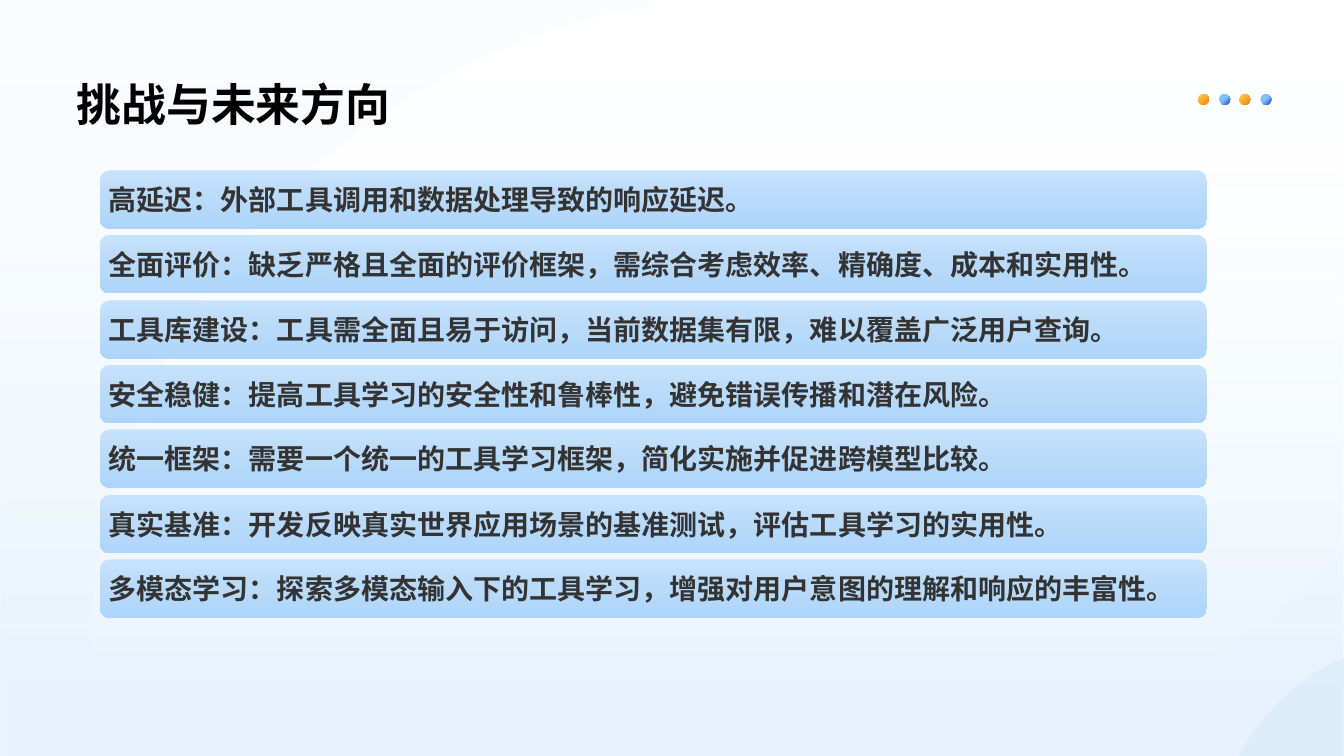
from lxml import etree
from pptx import Presentation
from pptx.dml.color import RGBColor
from pptx.enum.lang import MSO_LANGUAGE_ID
from pptx.enum.shapes import MSO_SHAPE
from pptx.enum.text import MSO_ANCHOR, PP_ALIGN
from pptx.oxml.ns import qn
from pptx.util import Pt

PX = 9144
W, H = 1333, 750
FONT = "Arial"
RECT, OVAL, ROUND = MSO_SHAPE.RECTANGLE, MSO_SHAPE.OVAL, MSO_SHAPE.ROUNDED_RECTANGLE
MIDDLE, BOTTOM = MSO_ANCHOR.MIDDLE, MSO_ANCHOR.BOTTOM
LEFT = PP_ALIGN.LEFT
CHINESE = MSO_LANGUAGE_ID.SIMPLIFIED_CHINESE

BACKDROP = [(0, "FFFFFF", 0), (91, "84C1F4", 18)]
ORANGE = [(23, "FAC348", 100), (88, "F88A20", 100)]
BLUE = [(52, "84C1F4", 100), (100, "1A48D8", 100)]
BAR = [(0, "C8E2FB", 100), (50, "B9DAF9", 100), (100, "ADD5FB", 100)]

CORNER = [(W, 652), (W, H), (1228, H), (1235, 738), (1257, 703, 1288, 674, 1325, 656)]
LEFT_SWOOSH = [(0, 0), (644, 0), (644, 6), (628, 9), (321, 69, 88, 341, 88, 666),
               (88, 686, 89, 706, 91, 726), (94, H), (0, H)]
RIGHT_SWOOSH = [(W, 544), (W, H), (918, H), (947, 746), (1088, 725, 1215, 660, 1313, 565)]

TITLE = "挑战与未来方向"
CHALLENGES = [
    "高延迟：外部工具调用和数据处理导致的响应延迟。",
    "全面评价：缺乏严格且全面的评价框架，需综合考虑效率、精确度、成本和实用性。",
    "工具库建设：工具需全面且易于访问，当前数据集有限，难以覆盖广泛用户查询。",
    "安全稳健：提高工具学习的安全性和鲁棒性，避免错误传播和潜在风险。",
    "统一框架：需要一个统一的工具学习框架，简化实施并促进跨模型比较。",
    "真实基准：开发反映真实世界应用场景的基准测试，评估工具学习的实用性。",
    "多模态学习：探索多模态输入下的工具学习，增强对用户意图的理解和响应的丰富性。",
]


def px(*values):
    """Turn pixel lengths into EMU."""
    return [v * PX for v in values]


def rgb(color):
    """Turn a hex string into a colour."""
    return RGBColor.from_string(color)


def set_gradient(sp, stops, angle):
    """Fill a shape with a linear gradient of (position, colour, opacity) stops."""
    sp.fill.gradient()
    grad = sp._element.spPr.find(qn("a:gradFill"))
    for child in list(grad):
        grad.remove(child)
    stop_list = etree.SubElement(grad, qn("a:gsLst"))
    for pos, color, opacity in stops:
        gs = etree.SubElement(stop_list, qn("a:gs"), pos=str(pos * 1000))
        clr = etree.SubElement(gs, qn("a:srgbClr"), val=color)
        etree.SubElement(clr, qn("a:alpha"), val=str(opacity * 1000))
    etree.SubElement(grad, qn("a:lin"), ang=str(angle * 60000), scaled="0")


def add_gradient_shape(s, kind, box, stops, angle):
    """Add a borderless preset shape with a gradient fill."""
    sp = s.shapes.add_shape(kind, *px(*box))
    sp.shadow.inherit = False
    sp.line.fill.background()
    set_gradient(sp, stops, angle)
    return sp


def bend_segments(sp, outline):
    """Turn the straight segments that have control points into cubic curves."""
    left = min(step[-2] for step in outline)
    top = min(step[-1] for step in outline)
    lines = list(sp._element.iter(qn("a:lnTo")))
    for line, step in zip(lines, outline[1:]):
        if len(step) == 6:
            bend = etree.Element(qn("a:cubicBezTo"))
            for x, y in zip(step[::2], step[1::2]):
                etree.SubElement(bend, qn("a:pt"), x=str(x - left), y=str(y - top))
            line.getparent().replace(line, bend)


def add_swoosh(s, outline, color, opacity):
    """Add a closed, translucent outline of lines and cubic curves."""
    points = [step[-2:] for step in outline]
    builder = s.shapes.build_freeform(*points[0], scale=PX)
    builder.add_line_segments(points[1:], close=True)
    sp = builder.convert_to_shape()
    bend_segments(sp, outline)
    sp.shadow.inherit = False
    sp.line.fill.background()
    sp.fill.solid()
    sp.fill.fore_color.rgb = rgb(color)
    clr = sp._element.spPr.find(qn("a:solidFill"))[0]
    etree.SubElement(clr, qn("a:alpha"), val=str(opacity * 1000))


def write(sp, text, size, color, anchor, inset):
    """Write one bold line into a shape."""
    tf = sp.text_frame
    tf.word_wrap = True
    tf.vertical_anchor = anchor
    tf.margin_left, tf.margin_top, tf.margin_right, tf.margin_bottom = px(*[inset] * 4)
    p = tf.paragraphs[0]
    p.alignment = LEFT
    r = p.add_run()
    r.text = text
    r.font.name = FONT
    r.font.size = Pt(size)
    r.font.bold = True
    r.font.color.rgb = rgb(color)
    r.font.language_id = CHINESE
    etree.SubElement(r.font._element, qn("a:ea"), typeface=FONT)


def add_background(s):
    """Add the pale backdrop, the corner curves and the dots."""
    add_gradient_shape(s, RECT, (0, 0, W, H), BACKDROP, 90)
    add_swoosh(s, CORNER, "CEE6FB", 50)
    for i in range(4):
        box = (1188 + round(i * 62 / 3), 93, 11, 11)
        add_gradient_shape(s, OVAL, box, BLUE if i % 2 else ORANGE, 45)
    add_swoosh(s, LEFT_SWOOSH, "E6F3FD", 20)
    add_swoosh(s, RIGHT_SWOOSH, "E6F3FD", 20)


def add_title(s):
    """Add the slide title."""
    sp = s.shapes.add_textbox(*px(76, 42, 1181, 87))
    write(sp, TITLE, 32, "000000", BOTTOM, 0)


def add_bars(s):
    """Add one rounded bar for each challenge."""
    for i, text in enumerate(CHALLENGES):
        top = 169 + round(i * 386 / 6)
        sp = add_gradient_shape(s, ROUND, (99, top, 1098, 58), BAR, 90)
        write(sp, text, 20, "333333", MIDDLE, 6)


def main():
    """Build and save the slide."""
    prs = Presentation()
    prs.slide_width, prs.slide_height = px(W, H)
    s = prs.slides.add_slide(prs.slide_layouts[6])
    add_background(s)
    add_title(s)
    add_bars(s)
    prs.save("out.pptx")


if __name__ == "__main__":
    main()
